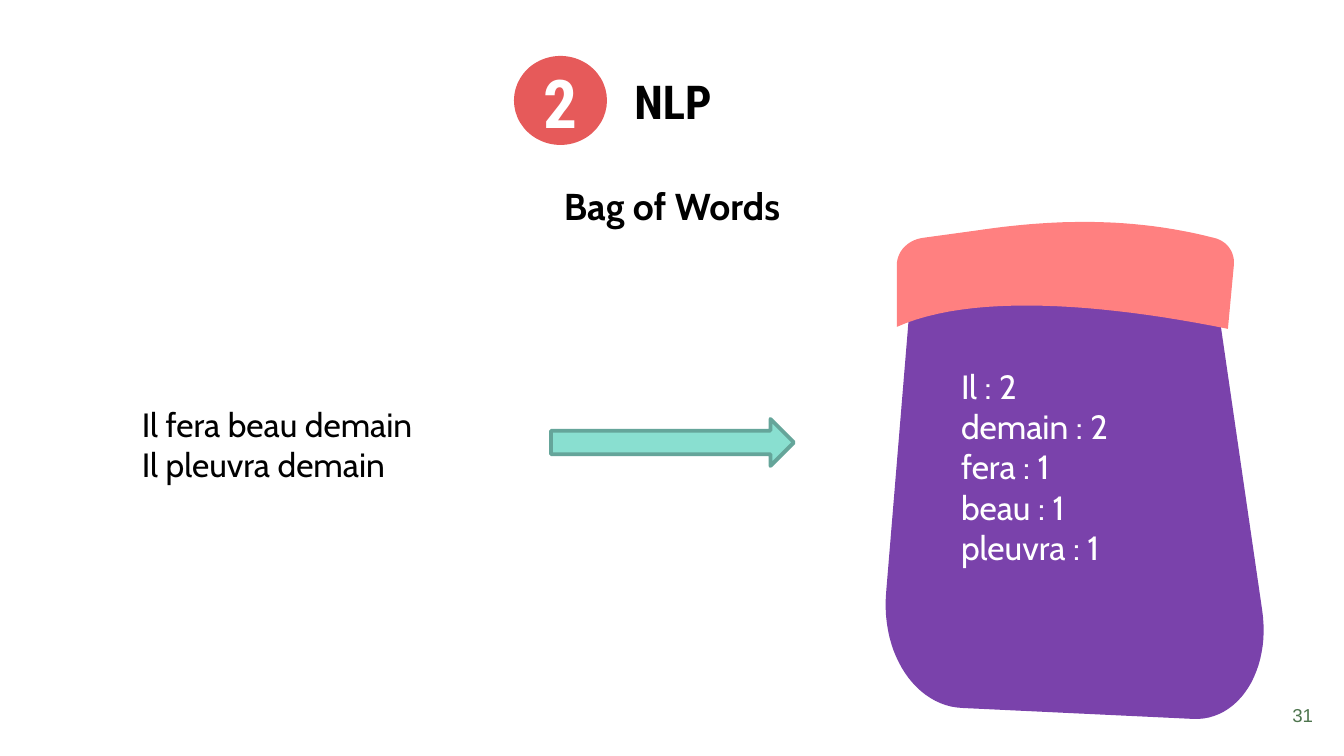
import math

from pptx import Presentation
from pptx.dml.color import RGBColor
from pptx.enum import shapes, text
from pptx.util import Emu, Pt

PX = 914400 / 134.4  # EMU in one px
TILT = -7.6  # degrees, for the bag and its rim

THEME = {
    "black": "000000", "white": "FFFFFF", "badge": "E65A5A",
    "bag": "7A42AB", "rim": "FF8080",
    "arrow": "89DFD0", "arrow_edge": "65A59A", "page": "4E754E",
    "heading": ("Roboto Condensed", 25, True),
    "number": ("Roboto Condensed", 36, True),
    "subheading": ("Cabin", 20, True),
    "body": ("Cabin", 18, False),
    "footer": ("Arial", 10, False),
}
LEFT, CENTER, RIGHT = text.PP_ALIGN.LEFT, text.PP_ALIGN.CENTER, text.PP_ALIGN.RIGHT
TOP, MIDDLE = text.MSO_ANCHOR.TOP, text.MSO_ANCHOR.MIDDLE


def write(box, lines, style, colour, align=LEFT, anchor=MIDDLE, bottom=13):
    frame = slide.shapes.add_textbox(*(Emu(round(v * PX)) for v in box)).text_frame
    frame.word_wrap = True
    frame.vertical_anchor = anchor
    frame.margin_left = frame.margin_right = frame.margin_top = Emu(round(13 * PX))
    frame.margin_bottom = Emu(round(bottom * PX))
    for i, line in enumerate(lines):
        paragraph = frame.add_paragraph() if i else frame.paragraphs[0]
        paragraph.alignment = align
        run = paragraph.add_run()
        run.text = line
        run.font.name, size, run.font.bold = THEME[style]
        run.font.size = Pt(size)
        run.font.color.rgb = RGBColor.from_string(THEME[colour])


def paint(shape, fill, edge=None):
    shape.shadow.inherit = False
    shape.fill.solid()
    shape.fill.fore_color.rgb = RGBColor.from_string(THEME[fill])
    if edge:
        shape.line.color.rgb = RGBColor.from_string(THEME[edge])
        shape.line.width = Pt(2)
    else:
        shape.line.fill.background()


prs = Presentation()
prs.slide_width, prs.slide_height = Emu(round(1344 * PX)), Emu(round(756 * PX))
slide = prs.slides.add_slide(prs.slide_layouts[6])

# Heading with its numbered badge
write((69, 60, 1208, 85), ["NLP"], "heading", "black", CENTER, TOP)
badge = slide.shapes.add_shape(
    shapes.MSO_SHAPE.OVAL, *(Emu(round(v * PX)) for v in (514, 56, 93, 89)))
paint(badge, "badge")
write((504, 69, 113, 65), ["2"], "number", "white", CENTER)
write((364, 121, 616, 202), ["Bag of Words"], "subheading", "black", CENTER, bottom=45)

# Bag and rim: a step is one point (line) or two controls and an end (curve)
bag = [
    [(886, 593)],
    [(881, 655), (916, 706), (962, 708)],
    [(1193, 719)],
    [(1239, 721), (1271, 670), (1262, 610)],
    [(1216, 294)],
    [(1177, 268), (1105, 228), (1019, 235)],
    [(978, 242), (940, 266), (910, 302)],
]
rim = [
    [(923, 238)],
    [(908, 240), (896, 252), (897, 267)],
    [(897, 327)],
    [(970, 294), (1100, 303), (1228, 329)],
    [(1234, 265)],
    [(1235, 252), (1227, 241), (1214, 238)],
    [(1133, 217), (1053, 219), (974, 231)],
]
cos, sin = math.cos(math.radians(-TILT)), math.sin(math.radians(-TILT))
for steps, (cx, cy), colour in ((bag, (1057, 485), "bag"), (rim, (1065, 284), "rim")):
    outline = [steps[-1][-1]]
    for step in steps:
        if len(step) == 1:
            outline += step
            continue
        corners = [outline[-1], *step]
        for i in range(1, 25):
            t = i / 24
            weights = [math.comb(3, k) * t**k * (1 - t) ** (3 - k) for k in range(4)]
            outline.append(tuple(
                sum(w * c[axis] for w, c in zip(weights, corners)) for axis in (0, 1)))
    # Untilt the points about the centre, then let the shape's rotation tilt them
    upright = [(round((cx + (x - cx) * cos - (y - cy) * sin) * PX),
                round((cy + (x - cx) * sin + (y - cy) * cos) * PX)) for x, y in outline]
    builder = slide.shapes.build_freeform(*upright[0], scale=1.0)
    builder.add_line_segments(upright[1:], close=True)
    part = builder.convert_to_shape()
    part.rotation = TILT
    paint(part, colour)

# Sentences, arrow and word counts
write((129, 409, 409, 70), ["Il fera beau demain", "Il pleuvra demain"], "body", "black")
arrow = slide.shapes.add_shape(
    shapes.MSO_SHAPE.RIGHT_ARROW, *(Emu(round(v * PX)) for v in (551, 419, 243, 47)))
paint(arrow, "arrow", "arrow_edge")
counts = {"Il": 2, "demain": 2, "fera": 1, "beau": 1, "pleuvra": 1}
write((948, 311, 377, 311), [f"{word} : {n}" for word, n in counts.items()],
      "body", "white")

# Page number
write((1246, 686, 80, 58), ["31"], "footer", "page", RIGHT)

prs.save("out.pptx")
